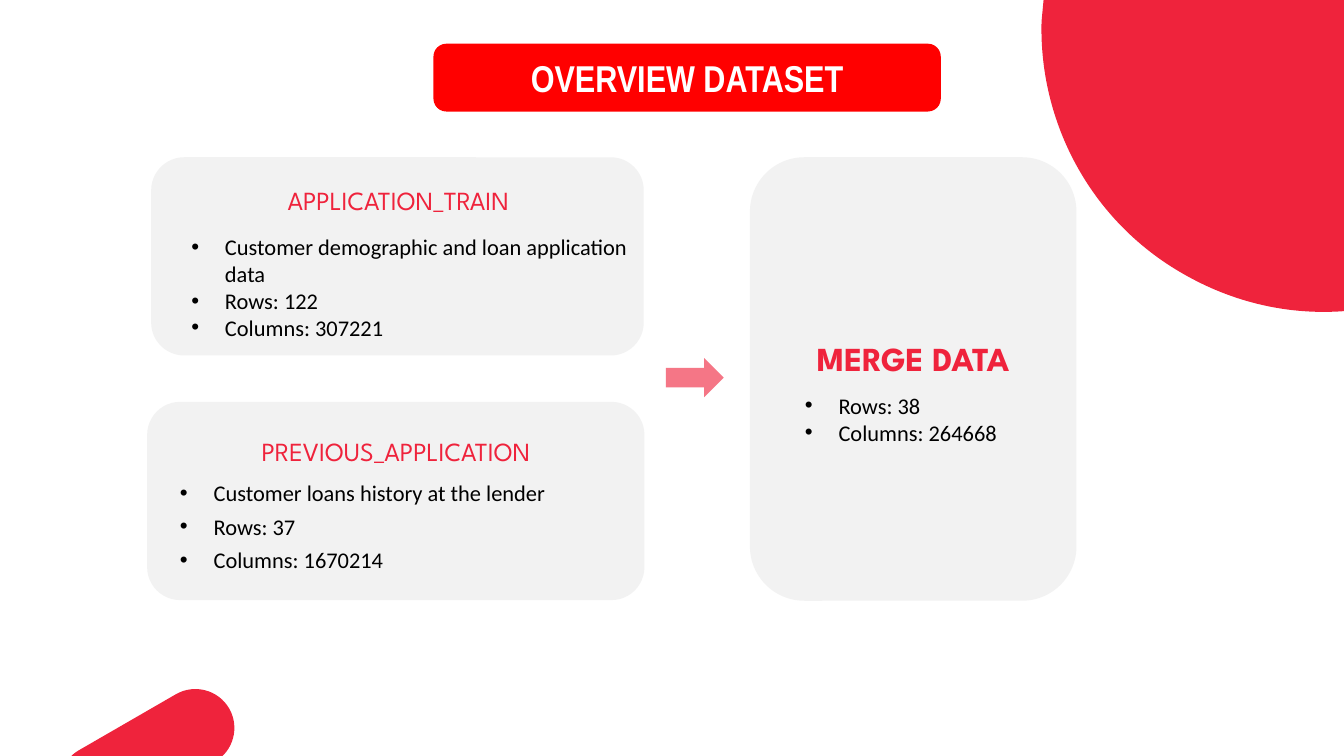
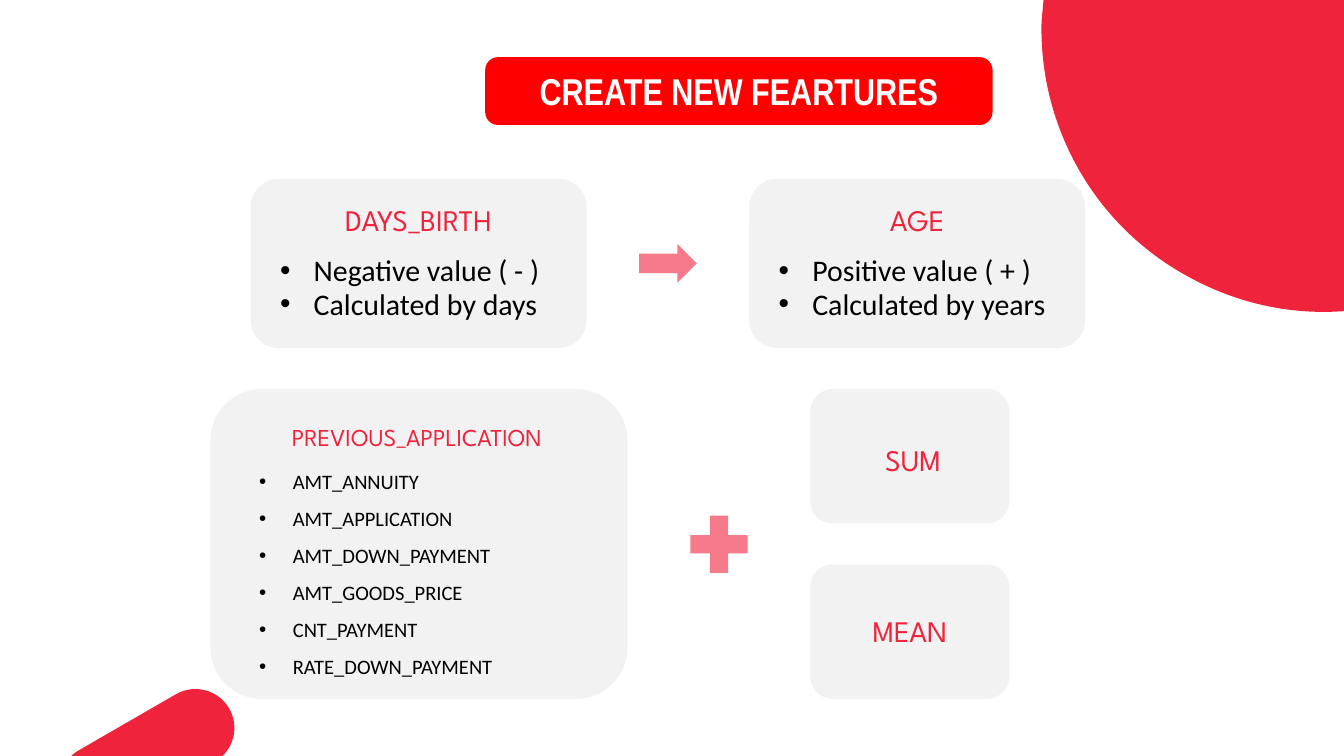
import itertools
from dataclasses import dataclass

import lxml.etree
import pptx
import pptx.dml.color
import pptx.enum.shapes
import pptx.enum.text
import pptx.oxml.ns
import pptx.presentation
import pptx.shapes.autoshape
import pptx.slide
import pptx.text.text
import pptx.util

Inches = pptx.util.Inches
Pt = pptx.util.Pt
ShapeKind = pptx.enum.shapes.MSO_SHAPE
Anchor = pptx.enum.text.MSO_ANCHOR
Align = pptx.enum.text.PP_ALIGN
AutoSize = pptx.enum.text.MSO_AUTO_SIZE
qualified = pptx.oxml.ns.qn
Point = tuple[float, float]
Segment = tuple[Point, ...]

SLIDE_WIDTH, SLIDE_HEIGHT = 20, 11.25


@dataclass(frozen=True)
class Theme:
    red: str = "EF233C"
    bright_red: str = "FF0000"
    panel: str = "F2F2F2"
    white: str = "FFFFFF"
    black: str = "000000"
    title_font: str = "Arial Narrow"
    heading_font: str = "League Spartan"
    body_font: str = "Calibri"
    title_size: int = 40
    merge_size: int = 36
    large_size: int = 32
    heading_size: int = 28
    small_heading_size: int = 26
    body_size: int = 24
    small_body_size: int = 22
    line_points: int = 36


THEME = Theme()
FIXED_LINES = Pt(THEME.line_points)


@dataclass(frozen=True)
class Box:
    """Position and size in inches."""
    left: float
    top: float
    width: float
    height: float

    def lengths(self) -> tuple[int, ...]:
        return tuple(Inches(value) for value in
                     (self.left, self.top, self.width, self.height))


@dataclass(frozen=True)
class TextStyle:
    font: str
    size: int
    color: str
    bold: bool = False


@dataclass(frozen=True)
class BulletList:
    box: Box
    items: tuple[str, ...]
    size: int = THEME.body_size
    line_spacing: float | int | None = None


@dataclass(frozen=True)
class Card:
    """A rounded panel with an optional heading and bullet list on it."""
    panel: Box
    heading: str = ""
    heading_box: Box | None = None
    heading_size: int = THEME.large_size
    bullets: BulletList | None = None


@dataclass(frozen=True)
class Symbol:
    kind: int
    box: Box
    opacity: int


def rgb(color: str) -> pptx.dml.color.RGBColor:
    return pptx.dml.color.RGBColor.from_string(color)


def paint(shape: pptx.shapes.autoshape.Shape, color: str) -> None:
    """Give the shape a flat fill without line or shadow."""
    shape.shadow.inherit = False
    shape.fill.solid()
    shape.fill.fore_color.rgb = rgb(color)
    shape.line.fill.background()


def add_flat_shape(slide: pptx.slide.Slide, kind: int, box: Box,
                   color: str) -> pptx.shapes.autoshape.Shape:
    shape = slide.shapes.add_shape(kind, *box.lengths())
    paint(shape, color)
    return shape


def add_run(paragraph: pptx.text.text._Paragraph, text: str, style: TextStyle) -> None:
    run = paragraph.add_run()
    run.text = text
    run.font.name = style.font
    run.font.size = Pt(style.size)
    run.font.bold = style.bold
    run.font.color.rgb = rgb(style.color)


def add_text_frame(slide: pptx.slide.Slide, box: Box) -> pptx.text.text.TextFrame:
    frame = slide.shapes.add_textbox(*box.lengths()).text_frame
    frame.word_wrap = True
    frame.auto_size = AutoSize.SHAPE_TO_FIT_TEXT
    return frame


def add_heading(slide: pptx.slide.Slide, text: str, box: Box, size: int) -> None:
    paragraph = add_text_frame(slide, box).paragraphs[0]
    paragraph.alignment = Align.CENTER
    paragraph.line_spacing = FIXED_LINES
    add_run(paragraph, text, TextStyle(THEME.heading_font, size, THEME.red))


def set_bullet(paragraph: pptx.text.text._Paragraph) -> None:
    properties = paragraph._p.get_or_add_pPr()
    indent = Inches(0.5)
    properties.set("marL", str(indent))
    properties.set("indent", str(-indent))
    for tag, name, value in (("a:buFont", "typeface", "Arial"),
                             ("a:buChar", "char", "•")):
        lxml.etree.SubElement(properties, qualified(tag)).set(name, value)


def add_bullets(slide: pptx.slide.Slide, bullets: BulletList) -> None:
    frame = add_text_frame(slide, bullets.box)
    style = TextStyle(THEME.body_font, bullets.size, THEME.black)
    for index, item in enumerate(bullets.items):
        paragraph = frame.add_paragraph() if index else frame.paragraphs[0]
        set_bullet(paragraph)
        if bullets.line_spacing is not None:
            paragraph.line_spacing = bullets.line_spacing
        add_run(paragraph, item, style)


def add_card(slide: pptx.slide.Slide, card: Card) -> None:
    add_flat_shape(slide, ShapeKind.ROUNDED_RECTANGLE, card.panel, THEME.panel)
    if card.heading:
        add_heading(slide, card.heading, card.heading_box, card.heading_size)
    if card.bullets:
        add_bullets(slide, card.bullets)


def add_symbol(slide: pptx.slide.Slide, symbol: Symbol) -> None:
    shape = add_flat_shape(slide, symbol.kind, symbol.box, THEME.red)
    color = shape.element.spPr.find(".//" + qualified("a:srgbClr"))
    alpha = lxml.etree.SubElement(color, qualified("a:alpha"))
    alpha.set("val", str(symbol.opacity * 1000))


def add_outline(slide: pptx.slide.Slide, start: Point,
                segments: list[Segment]) -> pptx.shapes.autoshape.Shape:
    """Draw a closed outline: one point makes a line, three make a Bézier curve."""
    builder = slide.shapes.build_freeform(Inches(start[0]), Inches(start[1]))
    builder.add_line_segments([(Inches(x), Inches(y)) for x, y in
                               itertools.chain.from_iterable(segments)])
    shape = builder.convert_to_shape()
    outline = shape.element.spPr.find(".//" + qualified("a:path"))
    lines = iter(outline.findall(qualified("a:lnTo")))
    for segment in segments:
        steps = list(itertools.islice(lines, len(segment)))
        if len(steps) == 3:
            curve = lxml.etree.Element(qualified("a:cubicBezTo"))
            steps[0].addprevious(curve)
            for step in steps:
                curve.append(step[0])
                outline.remove(step)
    lxml.etree.SubElement(outline, qualified("a:close"))
    paint(shape, THEME.red)
    return shape


def add_slanted_bar(slide: pptx.slide.Slide) -> None:
    left, top, right, bottom = 0.77, 10.67, 3.6, 11.83
    radius = (bottom - top) / 2
    middle = top + radius
    handle = radius * 0.45
    bar = add_outline(slide, (left + radius, top), [
        ((right - radius, top),),
        ((right - handle, top), (right, top + handle), (right, middle)),
        ((right, bottom - handle), (right - handle, bottom), (right - radius, bottom)),
        ((left + radius, bottom),),
        ((left + handle, bottom), (left, bottom - handle), (left, middle)),
        ((left, top + handle), (left + handle, top), (left + radius, top)),
    ])
    bar.rotation = 150


def add_corner_disc(slide: pptx.slide.Slide) -> None:
    add_outline(slide, (SLIDE_WIDTH, 0), [
        ((SLIDE_WIDTH, 4.63),),
        ((19.19, 4.69), (18.36, 4.51), (17.6, 4.07)),
        ((16.22, 3.28), (15.46, 1.81), (15.5, 0.32)),
        ((15.53, 0),),
    ])


def add_title(slide: pptx.slide.Slide, text: str, left: float, top: float) -> None:
    box = Box(left, top, 7.55, 1.01)
    bar = add_flat_shape(slide, ShapeKind.ROUNDED_RECTANGLE, box, THEME.bright_red)
    bar.adjustments[0] = 0.19
    title = slide.shapes.title
    title.left, title.top, title.width, title.height = box.lengths()
    title.element.getparent().append(title.element)
    frame = title.text_frame
    frame.auto_size = AutoSize.NONE
    frame.word_wrap = True
    frame.vertical_anchor = Anchor.MIDDLE
    frame.margin_left = frame.margin_right = Inches(0.1)
    frame.margin_top = frame.margin_bottom = Inches(0.1)
    paragraph = frame.paragraphs[0]
    paragraph.alignment = Align.CENTER
    add_run(paragraph, text,
            TextStyle(THEME.title_font, THEME.title_size, THEME.white, bold=True))


def add_slide(presentation: pptx.presentation.Presentation, title: str,
              left: float, top: float) -> pptx.slide.Slide:
    slide = presentation.slides.add_slide(presentation.slide_layouts[5])
    add_slanted_bar(slide)
    add_corner_disc(slide)
    add_title(slide, title, left, top)
    return slide


def add_merge_panel(slide: pptx.slide.Slide) -> None:
    panel = add_flat_shape(slide, ShapeKind.ROUNDED_RECTANGLE,
                           Box(11.16, 2.34, 4.86, 6.6), THEME.panel)
    frame = panel.text_frame
    frame.word_wrap = True
    frame.vertical_anchor = Anchor.MIDDLE
    frame.margin_bottom = Inches(0.68)
    paragraph = frame.paragraphs[0]
    paragraph.alignment = Align.CENTER
    add_run(paragraph, "MERGE DATA",
            TextStyle(THEME.heading_font, THEME.merge_size, THEME.red, bold=True))
    add_bullets(slide, BulletList(Box(11.88, 5.78, 3.42, 0.91),
                                  ("Rows: 38", "Columns: 264668")))


def add_overview_slide(presentation: pptx.presentation.Presentation) -> None:
    slide = add_slide(presentation, "OVERVIEW DATASET", 6.45, 0.65)
    tables = (
        Card(Box(2.25, 2.34, 7.33, 2.95), "APPLICATION_TRAIN",
             Box(2.27, 2.66, 7.31, 0.58), THEME.heading_size,
             BulletList(Box(2.75, 3.42, 7, 1.72),
                        ("Customer demographic and loan application data",
                         "Rows: 122", "Columns: 307221"))),
        Card(Box(2.19, 5.98, 7.4, 2.95), "PREVIOUS_APPLICATION",
             Box(2.19, 6.4, 7.4, 0.58), THEME.heading_size,
             BulletList(Box(2.58, 6.98, 6.58, 1.58),
                        ("Customer loans history at the lender",
                         "Rows: 37", "Columns: 1670214"),
                        line_spacing=FIXED_LINES)),
    )
    for card in tables:
        add_card(slide, card)
    add_merge_panel(slide)
    add_symbol(slide, Symbol(ShapeKind.RIGHT_ARROW, Box(9.91, 5.33, 0.86, 0.58), 62))


def feature_card(left: float, heading: str, items: tuple[str, ...]) -> Card:
    return Card(Box(left, 2.66, 5, 2.52), heading, Box(left, 2.99, 5, 0.61),
                bullets=BulletList(Box(left + 0.34, 3.73, 4.66, 1.11), items,
                                   THEME.large_size, FIXED_LINES))


def add_features_slide(presentation: pptx.presentation.Presentation) -> None:
    slide = add_slide(presentation, "CREATE NEW FEARTURES", 7.22, 0.85)
    cards = (
        feature_card(3.73, "DAYS_BIRTH", ("Negative value ( - )", "Calculated by days")),
        feature_card(11.15, "AGE", ("Positive value ( + )", "Calculated by years")),
        Card(Box(3.13, 5.79, 6.21, 4.61), "PREVIOUS_APPLICATION",
             Box(3.13, 6.17, 6.15, 0.57), THEME.small_heading_size,
             BulletList(Box(3.76, 6.75, 5.16, 3.38),
                        ("AMT_ANNUITY", "AMT_APPLICATION", "AMT_DOWN_PAYMENT",
                         "AMT_GOODS_PRICE", "CNT_PAYMENT", "RATE_DOWN_PAYMENT"),
                        THEME.small_body_size, 1.5)),
        Card(Box(12.06, 5.79, 2.96, 2), "SUM", Box(12.11, 6.55, 2.96, 0.61)),
        Card(Box(12.06, 8.4, 2.96, 2), "MEAN", Box(12.06, 9.1, 2.96, 0.61)),
    )
    for card in cards:
        add_card(slide, card)
    for symbol in (Symbol(ShapeKind.RIGHT_ARROW, Box(9.51, 3.63, 0.86, 0.58), 60),
                   Symbol(ShapeKind.MATH_PLUS, Box(10.12, 7.52, 1.16, 1.16), 60)):
        add_symbol(slide, symbol)


def main() -> None:
    presentation = pptx.Presentation()
    presentation.slide_width = Inches(SLIDE_WIDTH)
    presentation.slide_height = Inches(SLIDE_HEIGHT)
    add_overview_slide(presentation)
    add_features_slide(presentation)
    presentation.save("out.pptx")


if __name__ == "__main__":
    main()
